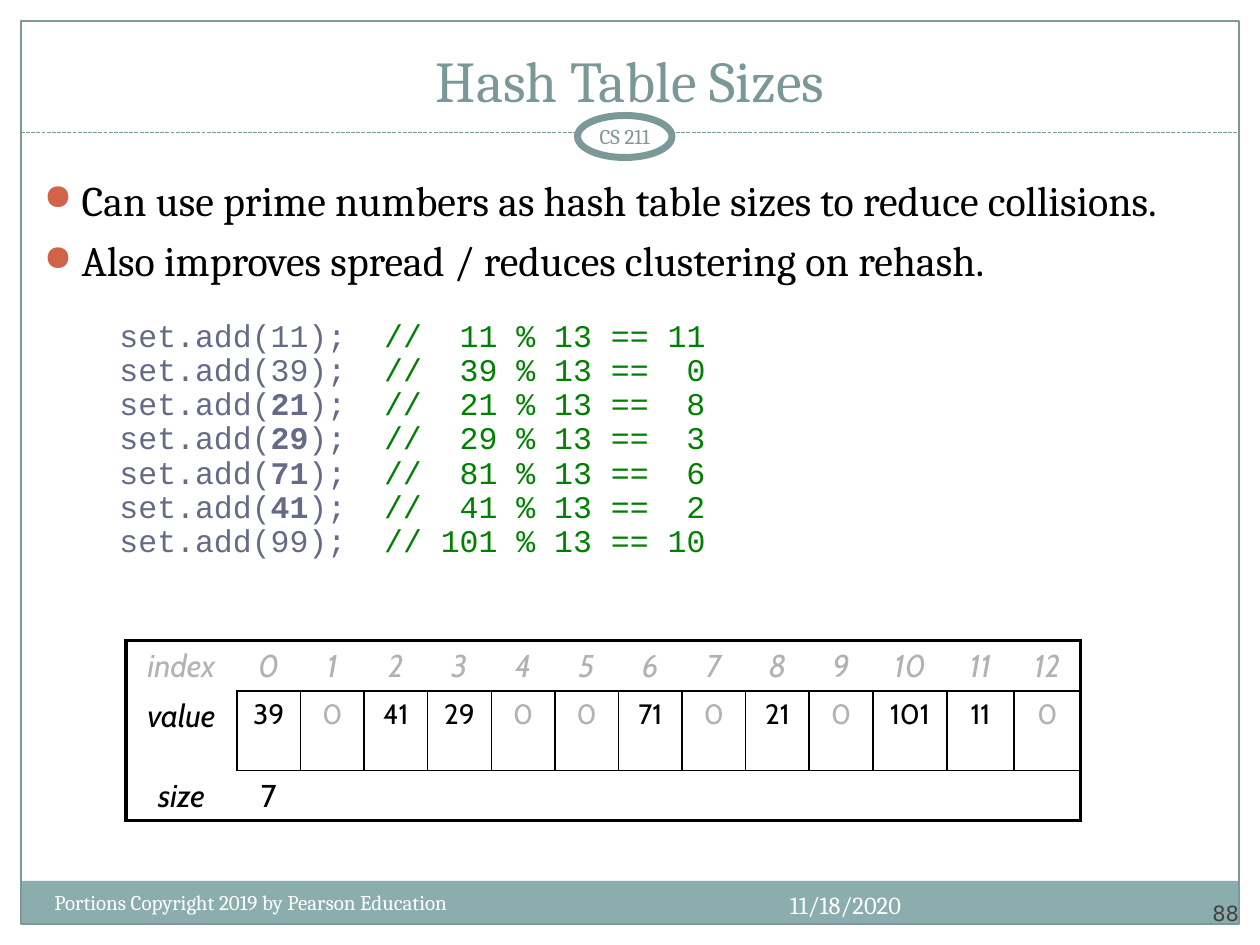
from dataclasses import dataclass
from typing import Optional

from lxml import etree
from pptx import Presentation
from pptx.dml.color import RGBColor
from pptx.enum.dml import MSO_LINE
from pptx.enum.shapes import MSO_CONNECTOR, MSO_SHAPE
from pptx.enum.text import MSO_ANCHOR, PP_ALIGN
from pptx.oxml.ns import qn
from pptx.util import Inches, Pt

RECT, OVAL = MSO_SHAPE.RECTANGLE, MSO_SHAPE.OVAL
STRAIGHT, DASH = MSO_CONNECTOR.STRAIGHT, MSO_LINE.SQUARE_DOT
LEFT, CENTER, RIGHT = PP_ALIGN.LEFT, PP_ALIGN.CENTER, PP_ALIGN.RIGHT
TOP, MIDDLE, BOTTOM = MSO_ANCHOR.TOP, MSO_ANCHOR.MIDDLE, MSO_ANCHOR.BOTTOM

COLORS = {
    "white": "FFFFFF", "black": "000000", "band": "8CADAE", "frame": "7C999A",
    "title": "7B9899", "bullet": "D16349", "code": "646B86", "comment": "008000",
    "muted": "B2B2B2", "number": "424242",
}
SERIF, MONO, SANS, NUMBER_FONT = "Cambria", "Courier New", "Cabin", "DejaVu Sans"

# The slide is a grid of 120 columns by 90 rows, twelve to the inch.
COLUMNS, ROWS = 120, 90


@dataclass(frozen=True)
class Area:
    col: float
    row: float
    cols: float
    rows: float

    def box(self) -> tuple:
        return tuple(grid(n) for n in (self.col, self.row, self.cols, self.rows))


@dataclass(frozen=True)
class Style:
    size: float
    font: str
    color: str
    bold: bool = False
    italic: bool = False


@dataclass(frozen=True)
class Label:
    text: str
    area: Area
    style: Style
    align: PP_ALIGN = LEFT
    anchor: MSO_ANCHOR = TOP
    inset: tuple = (0.1, 0.05)


@dataclass(frozen=True)
class CodeLine:
    argument: str
    comment: str
    bold: bool = False


LABELS = [
    Label("Hash Table Sizes", Area(4, 3, 112, 8.5), Style(33, SERIF, "title"), CENTER, BOTTOM),
    Label("CS 211", Area(54, 11, 11, 4), Style(12, SERIF, "frame"), CENTER, MIDDLE, (0.05, 0.05)),
    Label("Portions Copyright 2019 by Pearson Education", Area(4, 84.1, 49, 4.8),
          Style(12, SERIF, "white")),
    Label("11/18/2020", Area(67, 84.2, 20, 4.8), Style(14, SERIF, "white"), RIGHT),
    Label("88", Area(108, 83.4, 10, 4.8), Style(12, NUMBER_FONT, "number"), RIGHT, BOTTOM, (0, 0)),
]
BULLETS = [
    "Can use prime numbers as hash table sizes to reduce collisions.",
    "Also improves spread / reduces clustering on rehash.",
]
CODE = [
    CodeLine("11", "//  11 % 13 == 11"),
    CodeLine("39", "//  39 % 13 ==  0"),
    CodeLine("21", "//  21 % 13 ==  8", True),
    CodeLine("29", "//  29 % 13 ==  3", True),
    CodeLine("71", "//  81 % 13 ==  6", True),
    CodeLine("41", "//  41 % 13 ==  2", True),
    CodeLine("99", "// 101 % 13 == 10"),
]
BUCKETS = {0: 39, 2: 41, 3: 29, 6: 71, 8: 21, 10: 101, 11: 11}
CAPACITY = 13
COLUMN_WIDTHS = [10.56] + [6.06] * 10 + [7.08, 6.36, 6.36]
ROW_HEIGHTS = [4.8, 7.56, 4.8]


def grid(units: float) -> int:
    return Inches(units / 12)


def rgb(name: str) -> RGBColor:
    return RGBColor.from_string(COLORS[name])


def add_run(paragraph, text: str, style: Style) -> None:
    run = paragraph.add_run()
    run.text = text
    font = run.font
    font.size, font.name = Pt(style.size), style.font
    font.bold, font.italic = style.bold, style.italic
    font.color.rgb = rgb(style.color)


def add_frame(slide, area: Area, anchor: MSO_ANCHOR = TOP, inset: tuple = (0.1, 0.05)):
    """Add a wrapping text box and return its text frame."""
    frame = slide.shapes.add_textbox(*area.box()).text_frame
    frame.word_wrap, frame.vertical_anchor = True, anchor
    frame.margin_left = frame.margin_right = Inches(inset[0])
    frame.margin_top = frame.margin_bottom = Inches(inset[1])
    return frame


def add_label(slide, label: Label) -> None:
    paragraph = add_frame(slide, label.area, label.anchor, label.inset).paragraphs[0]
    paragraph.alignment = label.align
    add_run(paragraph, label.text, label.style)


def add_panel(slide, kind: MSO_SHAPE, area: Area, fill: Optional[str], line_width: float) -> None:
    panel = slide.shapes.add_shape(kind, *area.box())
    panel.shadow.inherit = False
    if fill:
        panel.fill.solid()
        panel.fill.fore_color.rgb = rgb(fill)
    else:
        panel.fill.background()
    if line_width:
        panel.line.color.rgb = rgb("frame")
        panel.line.width = Pt(line_width)
    else:
        panel.line.fill.background()


def add_rule(slide, left: float, right: float, row: float) -> None:
    rule = slide.shapes.add_connector(STRAIGHT, grid(left), grid(row), grid(right), grid(row))
    rule.line.color.rgb = rgb("frame")
    rule.line.width, rule.line.dash_style = Pt(0.75), DASH
    etree.SubElement(rule._element.spPr, qn("a:effectLst"))


def set_bullet(paragraph) -> None:
    props = paragraph._p.get_or_add_pPr()
    props.set("marL", str(Inches(0.3)))
    props.set("indent", str(Inches(-0.3)))
    color = etree.SubElement(props, qn("a:buClr"))
    etree.SubElement(color, qn("a:srgbClr"), val=COLORS["bullet"])
    etree.SubElement(props, qn("a:buSzPct"), val="85000")
    etree.SubElement(props, qn("a:buChar"), char="●")


def add_body(slide) -> None:
    frame = add_frame(slide, Area(3, 16, 114, 67))
    for i, text in enumerate(BULLETS):
        paragraph = frame.add_paragraph() if i else frame.paragraphs[0]
        if i:
            paragraph.space_before = Pt(5.6)
        set_bullet(paragraph)
        add_run(paragraph, text, Style(24, SERIF, "black"))

    plain = Style(18, MONO, "code")
    for i, line in enumerate(CODE):
        paragraph = frame.add_paragraph()
        paragraph._p.get_or_add_pPr().set("marL", str(Inches(0.6)))
        paragraph.line_spacing = 0.7
        paragraph.space_before = Pt(4.45 if i else 23.5)
        add_run(paragraph, "set.add(", plain)
        add_run(paragraph, line.argument, Style(18, MONO, "code", bold=line.bold))
        add_run(paragraph, ");  ", plain)
        add_run(paragraph, line.comment, Style(18, MONO, "comment"))


def set_borders(cell, widths: dict) -> None:
    """Draw each side of a cell at its width in points; zero leaves it open."""
    props = cell._tc.get_or_add_tcPr()
    for side in "LRTB":
        width = widths[side]
        line = etree.SubElement(props, qn(f"a:ln{side}"), w=str(Pt(width)))
        if width:
            fill = etree.SubElement(line, qn("a:solidFill"))
            etree.SubElement(fill, qn("a:srgbClr"), val=COLORS["black"])
        else:
            etree.SubElement(line, qn("a:noFill"))


def border_widths(row: int, col: int) -> dict:
    """Heavy outer edge, thin lines around the buckets."""
    bucket = row == 1 and col > 0
    return {
        "L": 2.25 if col == 0 else 1 if bucket else 0,
        "R": 2.25 if col == CAPACITY else 1 if row == 1 else 0,
        "T": 2.25 if row == 0 else 1 if col else 0,
        "B": 2.25 if row == 2 else 1 if col else 0,
    }


def cell_content(row: int, col: int) -> tuple[str, Style]:
    if col == 0:
        color = "black" if row else "muted"
        return ("index", "value", "size")[row], Style(18, SANS, color, italic=True)
    bucket = col - 1
    if row == 0:
        return str(bucket), Style(18, SANS, "muted", italic=True)
    if row == 1:
        color = "black" if bucket in BUCKETS else "muted"
        return str(BUCKETS.get(bucket, 0)), Style(16, SANS, color)
    return str(len(BUCKETS)) if bucket == 0 else "", Style(18, SANS, "black")


def add_hash_table(slide) -> None:
    area = Area(12, 61, sum(COLUMN_WIDTHS), sum(ROW_HEIGHTS))
    table = slide.shapes.add_table(len(ROW_HEIGHTS), len(COLUMN_WIDTHS), *area.box()).table
    table.first_row = table.horz_banding = False
    for column, width in zip(table.columns, COLUMN_WIDTHS):
        column.width = grid(width)
    for r, height in enumerate(ROW_HEIGHTS):
        table.rows[r].height = grid(height)
        for c in range(len(COLUMN_WIDTHS)):
            cell = table.cell(r, c)
            set_borders(cell, border_widths(r, c))
            cell.fill.background()
            text, style = cell_content(r, c)
            if text:
                paragraph = cell.text_frame.paragraphs[0]
                paragraph.alignment = CENTER
                add_run(paragraph, text, style)


def main() -> None:
    deck = Presentation()
    deck.slide_width, deck.slide_height = grid(COLUMNS), grid(ROWS)
    slide = deck.slides.add_slide(deck.slide_layouts[6])
    add_panel(slide, RECT, Area(2, 83.9, 116, 4.1), "band", 0)
    add_panel(slide, RECT, Area(2, 2, 116, 86), None, 0.75)
    add_rule(slide, 2, 118, 12.6)
    add_panel(slide, OVAL, Area(55, 11, 9, 4), "white", 4)
    add_body(slide)
    add_hash_table(slide)
    for label in LABELS:
        add_label(slide, label)
    deck.save("out.pptx")


if __name__ == "__main__":
    main()
